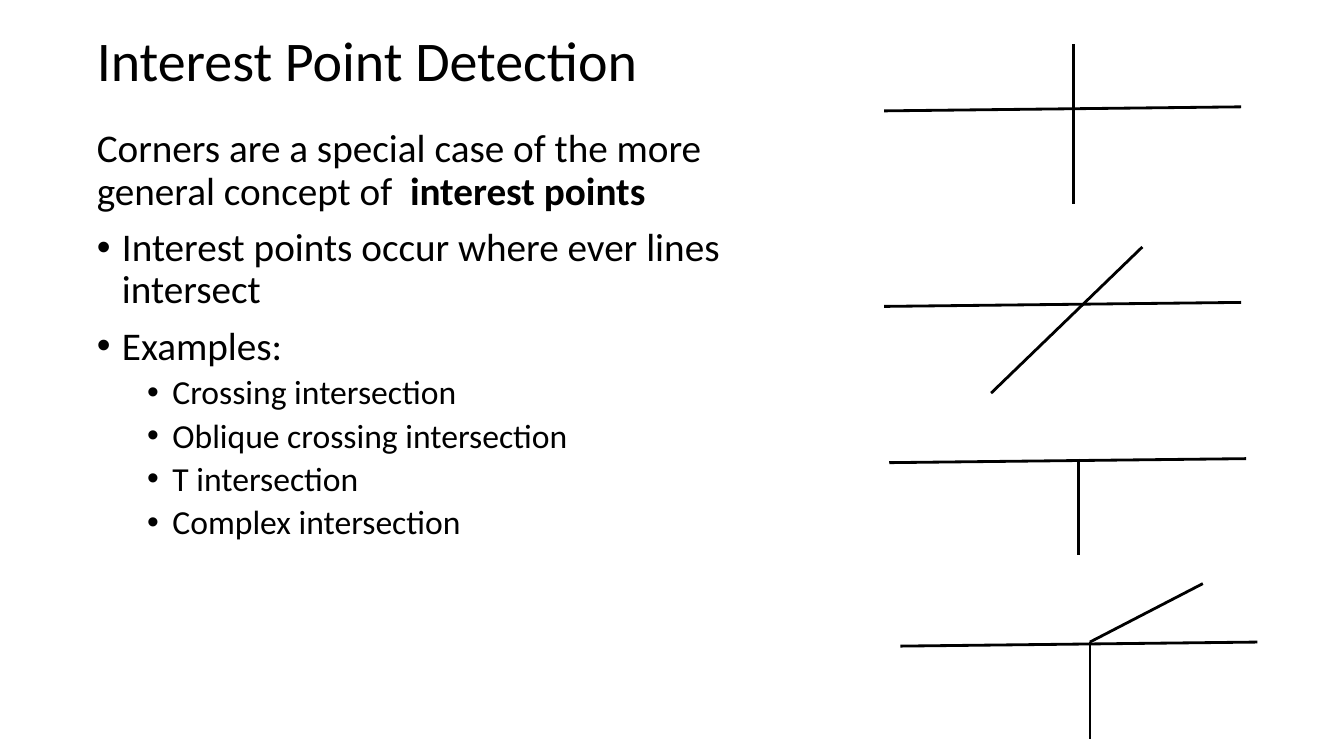
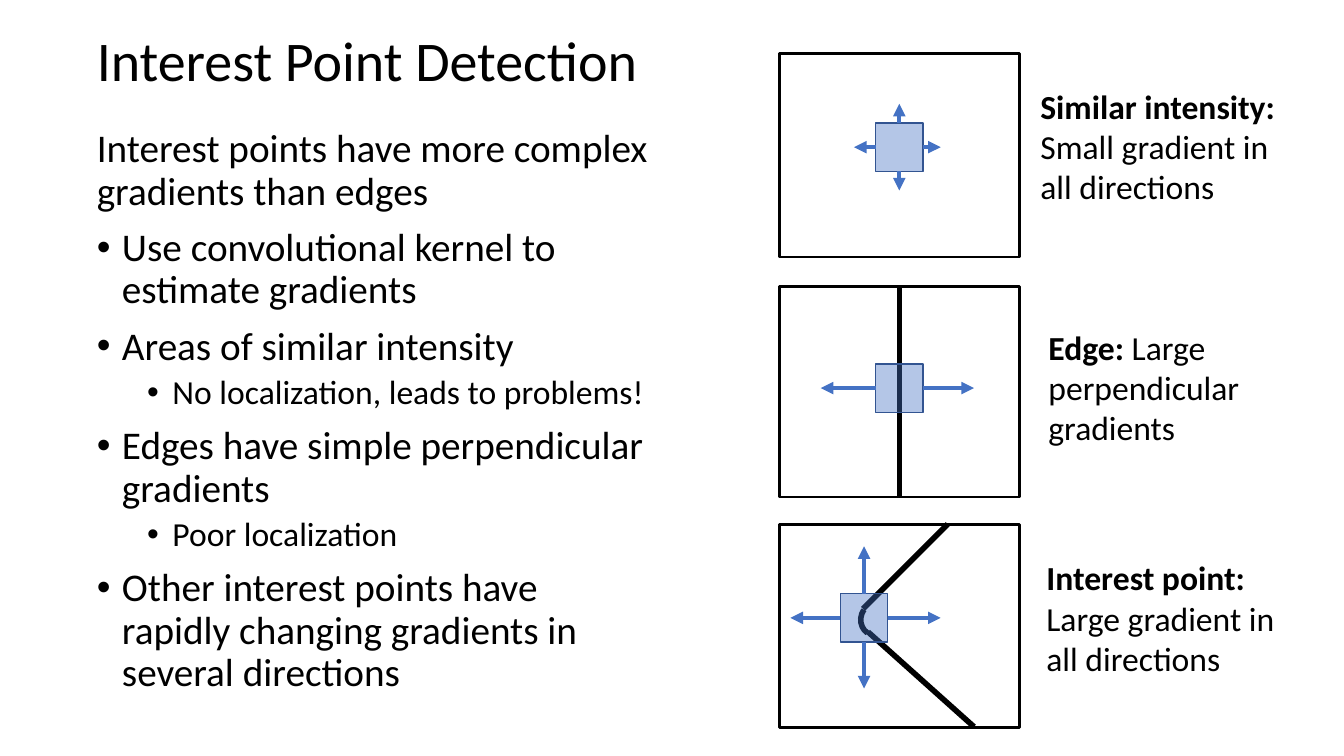
"""Build two slides about interest point detection."""
from dataclasses import dataclass
from typing import NamedTuple

from lxml.etree import SubElement
from pptx import Presentation
from pptx.dml.color import RGBColor
from pptx.enum.shapes import MSO_CONNECTOR, MSO_SHAPE
from pptx.enum.text import MSO_ANCHOR, MSO_AUTO_SIZE, PP_ALIGN
from pptx.oxml.ns import qn
from pptx.util import Inches, Pt


@dataclass(frozen=True)
class Theme:
    """Colours, font, type sizes and line weights."""
    ink: RGBColor = RGBColor(0, 0, 0)
    paper: RGBColor = RGBColor(255, 255, 255)
    blue: RGBColor = RGBColor(0x44, 0x72, 0xC4)
    navy: RGBColor = RGBColor(0x32, 0x54, 0x91)
    font: str = "Calibri"
    title: int = 40
    body: int = 28
    small: int = 24
    hair: float = 0.5
    fine: float = 1
    thin: float = 2
    arrow: float = 3
    thick: float = 4


THEME = Theme()
LEFT = 0.86


class Point(NamedTuple):
    """A place on the slide, in inches."""
    x: float
    y: float


class Box(NamedTuple):
    """A rectangle on the slide, in inches."""
    x: float
    y: float
    w: float
    h: float


class Span(NamedTuple):
    """A stretch of text in one weight."""
    text: str
    bold: bool = False


class Item(NamedTuple):
    """A body paragraph: depth 0 is plain, 1 and 2 are bulleted."""
    depth: int
    spans: tuple[Span, ...]


class Stroke(NamedTuple):
    """A straight line between two points."""
    start: Point
    end: Point
    width: float


class Junction(NamedTuple):
    """A bar with branches given as offsets from its joint."""
    joint: Point
    limbs: tuple[tuple[Point, Point], ...]


class Panel(NamedTuple):
    """A framed patch with a kernel, arrow tips and a caption."""
    top: float
    height: float
    centre: Point
    tips: tuple[Point, ...]
    marks: tuple[Stroke, ...]
    note: Point
    label: str
    text: str


def item(depth: int, text: str, strong: str = "") -> Item:
    """Make a body paragraph with an optional bold ending."""
    spans = (Span(text), Span(strong, True)) if strong else (Span(text),)
    return Item(depth, spans)


def place(shape, box: Box) -> None:
    """Move and size a shape."""
    shape.left, shape.top, shape.width, shape.height = map(Inches, box)


def write(para, spans: tuple[Span, ...], size: float) -> None:
    """Fill a paragraph with formatted runs."""
    for span in spans:
        run = para.add_run()
        run.text = span.text
        font = run.font
        font.name, font.size, font.bold = THEME.font, Pt(size), span.bold
        font.color.rgb = THEME.ink


def bullet(para, depth: int) -> None:
    """Set the indent and bullet for a depth."""
    props = para._p.get_or_add_pPr()
    props.set("marL", str(Inches((0, 0.25, 0.75)[depth])))
    props.set("indent", str(Inches(-0.25 if depth else 0)))
    if depth:
        para.level = depth - 1
        SubElement(props, qn("a:buFont")).set("typeface", "Arial")
        SubElement(props, qn("a:buChar")).set("char", "•")
    else:
        SubElement(props, qn("a:buNone"))


def start(deck, width: float, items: tuple[Item, ...]):
    """Add a slide with its title and body list."""
    slide = deck.slides.add_slide(deck.slide_layouts[1])
    title, body = slide.placeholders
    place(title, Box(LEFT, 0.15, width, 0.95))
    place(body, Box(LEFT, 1.23, width, 6.12))
    for shape, anchor in ((title, MSO_ANCHOR.MIDDLE), (body, MSO_ANCHOR.TOP)):
        frame = shape.text_frame
        frame.word_wrap = True
        frame.auto_size = MSO_AUTO_SIZE.NONE
        frame.vertical_anchor = anchor
    head = title.text_frame.paragraphs[0]
    head.alignment, head.line_spacing = PP_ALIGN.LEFT, 0.9
    write(head, (Span("Interest Point Detection"),), THEME.title)
    for index, entry in enumerate(items):
        frame = body.text_frame
        para = frame.add_paragraph() if index else frame.paragraphs[0]
        nested = entry.depth == 2
        bullet(para, entry.depth)
        para.line_spacing = 0.9
        para.space_before = Pt((5 if nested else 10) if index else 0)
        write(para, entry.spans, THEME.small if nested else THEME.body)
    return slide


def draw(slide, stroke: Stroke, color: RGBColor = THEME.ink, arrow: bool = False) -> None:
    """Draw a line, with an arrowhead at its end if asked."""
    ends = map(Inches, (*stroke.start, *stroke.end))
    line = slide.shapes.add_connector(MSO_CONNECTOR.STRAIGHT, *ends)
    line.line.color.rgb = color
    line.line.width = Pt(stroke.width)
    if arrow:
        SubElement(line.line._get_or_add_ln(), qn("a:tailEnd")).set("type", "triangle")
    SubElement(line._element.spPr, qn("a:effectLst"))


def outline(slide, kind: MSO_SHAPE, box: Box, color: RGBColor, width: float,
            fill: RGBColor | None = None):
    """Add an outlined shape, hollow unless a fill is given."""
    shape = slide.shapes.add_shape(kind, *map(Inches, box))
    shape.shadow.inherit = False
    shape.line.color.rgb = color
    shape.line.width = Pt(width)
    if fill is None:
        shape.fill.background()
    else:
        shape.fill.solid()
        shape.fill.fore_color.rgb = fill
    return shape


def cross(slide, node: Junction) -> None:
    """Draw a bar and the branches that meet it."""
    x, y = node.joint
    for a, b in node.limbs:
        draw(slide, Stroke(Point(x + a.x, y + a.y), Point(x + b.x, y + b.y), THEME.thin))
    draw(slide, Stroke(Point(x - 1.88, y + 0.04), Point(x + 1.66, y), THEME.thin))


def kernel(slide, centre: Point, tips: tuple[Point, ...]) -> None:
    """Draw a clear square with arrows from its edges."""
    w, h = 0.47, 0.48
    box = Box(centre.x - w / 2, centre.y - h / 2, w, h)
    shape = outline(slide, MSO_SHAPE.RECTANGLE, box, THEME.navy, THEME.fine, THEME.blue)
    tint = shape._element.spPr.find(qn("a:solidFill"))[0]
    SubElement(tint, qn("a:alpha")).set("val", "40000")
    for tip in tips:
        side = Point((tip.x > 0) - (tip.x < 0), (tip.y > 0) - (tip.y < 0))
        edge = Point(centre.x + side.x * w / 2, centre.y + side.y * h / 2)
        end = Point(centre.x + tip.x, centre.y + tip.y)
        draw(slide, Stroke(edge, end, THEME.arrow), THEME.blue, True)


def caption(slide, panel: Panel) -> None:
    """Write the note beside a panel."""
    box = Box(*panel.note, 2.68, 1.31)
    frame = slide.shapes.add_textbox(*map(Inches, box)).text_frame
    frame.word_wrap = True
    frame.auto_size = MSO_AUTO_SIZE.SHAPE_TO_FIT_TEXT
    write(frame.paragraphs[0], (Span(panel.label, True), Span(panel.text)), THEME.small)


def patch(slide, panel: Panel) -> None:
    """Draw a panel with its marks, kernel and caption."""
    box = Box(7.73, panel.top, 2.38, panel.height)
    outline(slide, MSO_SHAPE.RECTANGLE, box, THEME.ink, THEME.thin)
    for mark in panel.marks:
        draw(slide, mark)
    kernel(slide, panel.centre, panel.tips)
    caption(slide, panel)


ZERO, DOWN = Point(0, 0), Point(0, 0.96)
STEM = (ZERO, DOWN)
NODES = (
    Junction(Point(10.65, 1.06), ((Point(0, -0.62), DOWN),)),
    Junction(Point(10.65, 3), ((Point(0.68, -0.55), Point(-0.82, 0.9)),)),
    Junction(Point(10.7, 4.55), (STEM,)),
    Junction(Point(10.81, 6.37), (STEM, (ZERO, Point(1.12, -0.58)))),
)
CORNERS = (
    item(0, "Corners are a special case of the more general concept of  ", "interest points"),
    item(1, "Interest points occur where ever lines intersect"),
    item(1, "Examples:"),
    item(2, "Crossing intersection"),
    item(2, "Oblique crossing intersection"),
    item(2, "T intersection"),
    item(2, "Complex intersection"),
)
GRADES = (
    item(0, "Interest points have more complex gradients than edges"),
    item(1, "Use convolutional kernel to estimate gradients"),
    item(1, "Areas of similar intensity"),
    item(2, "No localization, leads to problems!"),
    item(1, "Edges have simple perpendicular gradients"),
    item(2, "Poor localization"),
    item(1, "Other interest points have rapidly changing gradients in several directions"),
)
PANELS = (
    Panel(0.53, 2.02, Point(8.92, 1.46),
          (Point(0.41, 0), Point(0, 0.43), Point(-0.45, 0), Point(0, -0.43)), (),
          Point(10.22, 0.8), "Similar intensity:", " Small gradient in all directions"),
    Panel(2.84, 2.09, Point(8.92, 3.85), (Point(0.74, 0), Point(-0.78, 0)),
          (Stroke(Point(8.92, 2.84), Point(8.92, 4.93), THEME.thick),),
          Point(10.3, 3.19), "Edge:", " Large perpendicular gradients"),
    Panel(5.2, 2.02, Point(8.57, 6.13),
          (Point(0.76, 0), Point(0, 0.7), Point(-0.73, 0), Point(0, -0.71)),
          (Stroke(Point(8.61, 6.27), Point(9.66, 7.21), THEME.thick),
           Stroke(Point(8.56, 6.04), Point(9.4, 5.2), THEME.thick),
           Stroke(Point(9.4, 5.2), Point(10.11, 5.21), THEME.hair),
           Stroke(Point(10.11, 5.21), Point(10.11, 7.22), THEME.hair),
           Stroke(Point(9.66, 7.21), Point(10.11, 7.21), THEME.hair)),
          Point(10.28, 5.48), "Interest point:", " Large gradient in all directions"),
)


def main() -> None:
    """Build and save the deck."""
    deck = Presentation()
    deck.slide_width, deck.slide_height = Inches(13.33), Inches(7.5)
    first = start(deck, 6.84, CORNERS)
    for node in NODES:
        cross(first, node)
    second = start(deck, 5.72, GRADES)
    bend = outline(second, MSO_SHAPE.ARC, Box(8.54, 5.97, 0.32, 0.34),
                   THEME.ink, THEME.thick, THEME.paper)
    bend.rotation = 214.4
    for panel in PANELS:
        patch(second, panel)
    deck.save("out.pptx")


if __name__ == "__main__":
    main()
